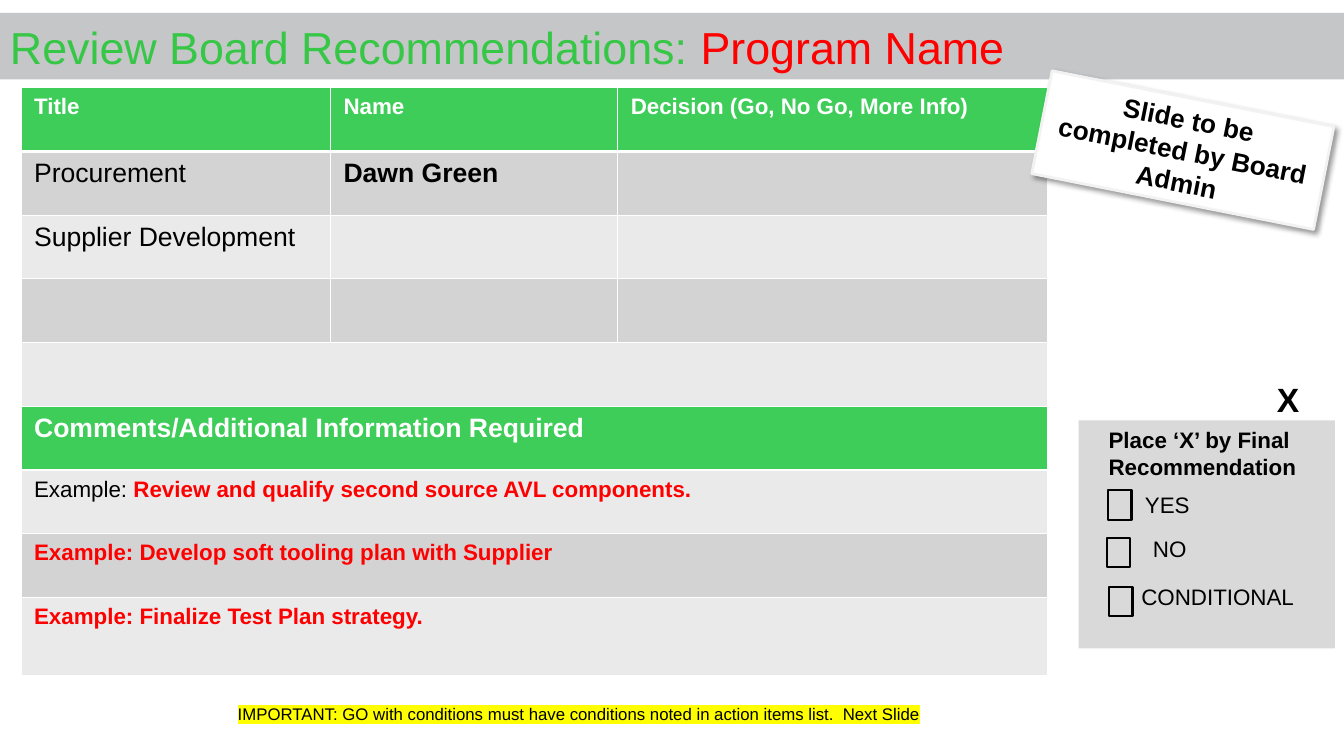
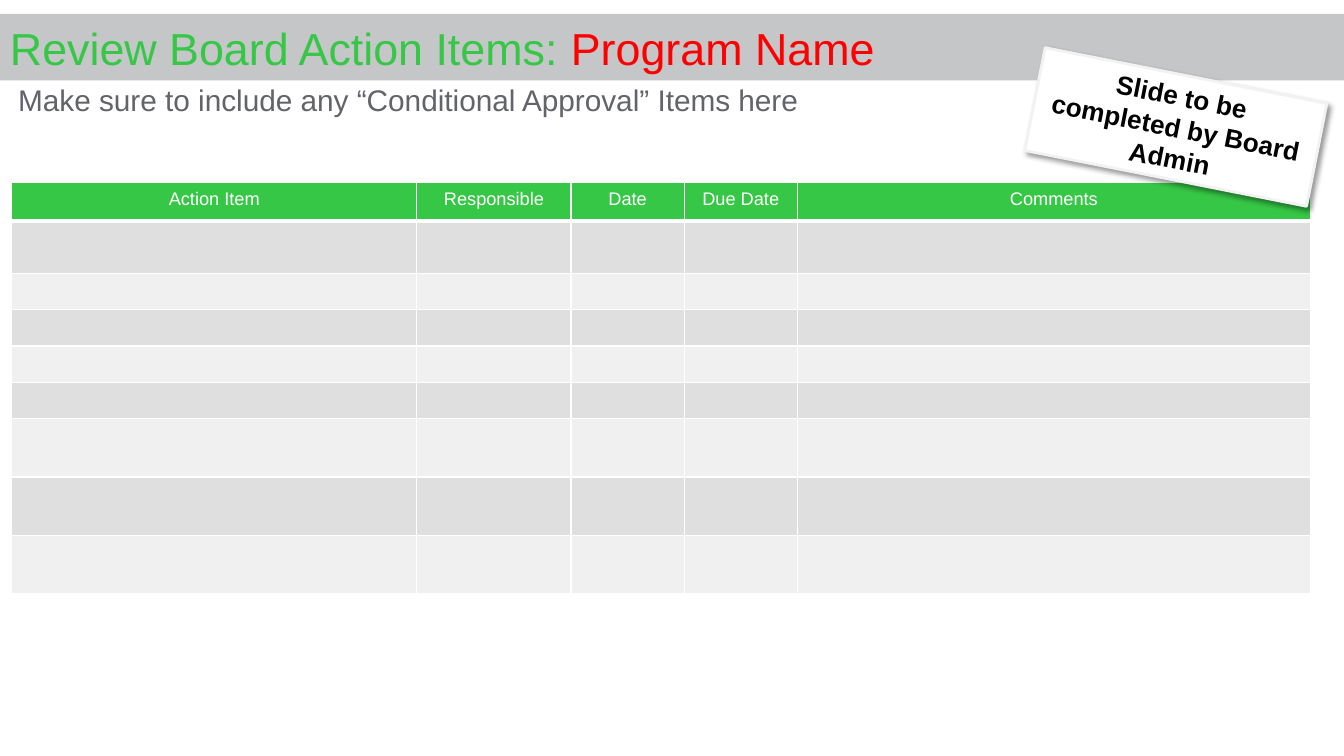
from dataclasses import dataclass
from typing import NamedTuple, Optional

from lxml.etree import SubElement
from pptx import Presentation
from pptx.dml.color import RGBColor
from pptx.enum.shapes import MSO_SHAPE as Shape
from pptx.enum.text import MSO_ANCHOR as Anchor, PP_ALIGN as Align
from pptx.oxml import parse_xml
from pptx.oxml.ns import nsdecls, qn
from pptx.util import Pt

# Shared look
FONT = "Arial"
WHITE, BLACK, RED = "FFFFFF", "000000", "FF0000"
TITLE_GREEN, TABLE_GREEN = "36C746", "3DCD58"
BAND_GRAY, PANEL_GRAY, TEXT_GRAY = "C5C6C8", "D9D9D9", "626469"
STICKER_EDGE, YELLOW = "F2F2F2", "FFFF00"
REVIEW_DARK, REVIEW_LIGHT = "D3D3D4", "EAEAEB"
ACTION_DARK, ACTION_LIGHT = "DFDFE0", "F0F0F0"
SLIDE_WIDTH, SLIDE_HEIGHT = 960, 540


class Box(NamedTuple):
    left: float
    top: float
    width: float
    height: float

    def lengths(self) -> list:
        return [Pt(value) for value in self]


class Run(NamedTuple):
    text: str
    size: float
    color: str = BLACK
    bold: bool = False


@dataclass
class Row:
    height: float
    fill: str
    cells: tuple = ()
    merged: bool = False


class Choice(NamedTuple):
    label: str
    label_box: Box
    check_left: float
    check_top: float


def rgb(color: str) -> RGBColor:
    return RGBColor.from_string(color)


# Text
def add_run(paragraph, text: str, *, size: float, color: str = BLACK,
            bold: bool = False, highlight: Optional[str] = None) -> None:
    run = paragraph.add_run()
    run.text = text
    font = run.font
    font.name, font.size, font.bold = FONT, Pt(size), bold
    font.color.rgb = rgb(color)
    if highlight:
        marker = parse_xml(f'<a:highlight {nsdecls("a")}><a:srgbClr val="{highlight}"/></a:highlight>')
        font.fill._xPr.find(qn("a:solidFill")).addnext(marker)


def add_text(shapes, box: Box, text: str, *, wrap: bool = True, inset: bool = True,
             anchor: Anchor = Anchor.TOP, **text_format) -> None:
    frame = shapes.add_textbox(*box.lengths()).text_frame
    frame.word_wrap = wrap
    frame.vertical_anchor = anchor
    if not inset:
        frame.margin_left = frame.margin_right = frame.margin_top = frame.margin_bottom = 0
    add_run(frame.paragraphs[0], text, **text_format)


# Shapes
def add_rectangle(shapes, box: Box, *, fill: Optional[str] = None,
                  line: Optional[str] = None, line_width: float = 1):
    shape = shapes.add_shape(Shape.RECTANGLE, *box.lengths())
    shape.shadow.inherit = False
    if fill:
        shape.fill.solid()
        shape.fill.fore_color.rgb = rgb(fill)
    else:
        shape.fill.background()
    if line:
        shape.line.color.rgb = rgb(line)
        shape.line.width = Pt(line_width)
    else:
        shape.line.fill.background()
    shape.text_frame.word_wrap = True
    shape.text_frame.vertical_anchor = Anchor.MIDDLE
    return shape


def add_title(slide, top: float, subject: str) -> None:
    band = add_rectangle(slide.shapes, Box(0, top, SLIDE_WIDTH, 47.5), fill=BAND_GRAY)
    paragraph = band.text_frame.paragraphs[0]
    paragraph.alignment = Align.LEFT
    add_run(paragraph, f"{subject}: ", size=32, color=TITLE_GREEN)
    add_run(paragraph, "Program Name", size=32, color=RED)


def add_sticker(slide, left: float, top: float) -> None:
    sticker = add_rectangle(slide.shapes, Box(left, top, 205.2, 74.9),
                            fill=WHITE, line=STICKER_EDGE, line_width=2)
    sticker.rotation = 11.2
    paragraph = sticker.text_frame.paragraphs[0]
    paragraph.alignment = Align.CENTER
    add_run(paragraph, "Slide to be completed by Board Admin", size=18.7, bold=True)
    # Soft shadow to the lower right
    effects = sticker._element.spPr.find(qn("a:effectLst"))
    shadow = SubElement(effects, qn("a:outerShdw"), blurRad=str(Pt(4)), dist=str(Pt(3)),
                        dir=str(45 * 60000), algn="tl", rotWithShape="0")
    shade = SubElement(shadow, qn("a:srgbClr"), val=BLACK)
    SubElement(shade, qn("a:alpha"), val="40000")


# Tables
def set_borders(cell, top: float, bottom: float) -> None:
    properties = cell._tc.get_or_add_tcPr()
    widths = {"lnL": 1, "lnR": 1, "lnT": top, "lnB": bottom}
    for index, (side, width) in enumerate(widths.items()):
        properties.insert(index, parse_xml(
            f'<a:{side} {nsdecls("a")} w="{Pt(width)}"><a:solidFill>'
            f'<a:srgbClr val="{WHITE}"/></a:solidFill></a:{side}>'))


def fill_cell(cell, runs: tuple, alignment: Align) -> None:
    cell.margin_left = cell.margin_right = Pt(9.4)
    cell.margin_top = cell.margin_bottom = Pt(5 if runs else 0)
    paragraph = cell.text_frame.paragraphs[0]
    paragraph.alignment = alignment
    for run in runs:
        add_run(paragraph, **run._asdict())


def add_grid(slide, left: float, top: float, widths: list[float], rows: list[Row],
             alignment: Align = Align.LEFT) -> None:
    box = Box(left, top, sum(widths), sum(row.height for row in rows))
    table = slide.shapes.add_table(len(rows), len(widths), *box.lengths()).table
    table.first_row = table.horz_banding = False
    for column, width in zip(table.columns, widths):
        column.width = Pt(width)
    for row_index, row in enumerate(rows):
        table.rows[row_index].height = Pt(row.height)
        for column_index in range(len(widths)):
            cell = table.cell(row_index, column_index)
            cell.fill.solid()
            cell.fill.fore_color.rgb = rgb(row.fill)
            set_borders(cell, top=3 if row_index == 1 else 1, bottom=3 if row_index == 0 else 1)
            runs = row.cells[column_index] if column_index < len(row.cells) else ()
            fill_cell(cell, runs, alignment)
        if row.merged:
            table.cell(row_index, 0).merge(table.cell(row_index, len(widths) - 1))


# Slide 1
def add_recommendation_panel(slide) -> None:
    shapes = slide.shapes.add_group_shape().shapes
    add_rectangle(shapes, Box(770.5, 300.3, 183, 162.8), fill=PANEL_GRAY)
    add_text(shapes, Box(784.8, 301, 154.8, 46), "Place ‘X’ by Final Recommendation",
             size=16, bold=True)
    choices = [
        Choice("YES", Box(810.7, 347, 85, 26.6), 791.3, 350.3),
        Choice("NO", Box(816.5, 379, 69.8, 26.6), 790.5, 384),
        Choice("CONDITIONAL", Box(808.2, 413, 139, 26.6), 792, 419.3),
    ]
    for choice in choices:
        add_text(shapes, choice.label_box, choice.label, size=16)
        add_rectangle(shapes, Box(choice.check_left, choice.check_top, 17, 21),
                      line=BLACK, line_width=1.5)


def build_recommendations(slide) -> None:
    add_title(slide, 9.2, "Review Board Recommendations")
    height = 45.5
    headings = ("Title", "Name", "Decision (Go, No Go, More Info)")
    rows = [
        Row(height, TABLE_GREEN, tuple((Run(text, 16, WHITE, True),) for text in headings)),
        Row(height, REVIEW_DARK, ((Run("Procurement", 19),), (Run("Dawn Green", 19, bold=True),))),
        Row(height, REVIEW_LIGHT, ((Run("Supplier Development", 19),),)),
        Row(height, REVIEW_DARK),
        Row(height, REVIEW_LIGHT, merged=True),
        Row(height, TABLE_GREEN,
            ((Run("Comments/Additional Information Required", 19, WHITE, True),),), True),
        Row(height, REVIEW_LIGHT,
            ((Run("Example: ", 16),
              Run("Review and qualify second source AVL components.", 16, RED, True)),), True),
        Row(height, REVIEW_DARK,
            ((Run("Example: Develop soft tooling plan with Supplier", 16, RED, True),),), True),
        Row(56, REVIEW_LIGHT,
            ((Run("Example: Finalize Test Plan strategy.", 16, RED, True),),), True),
    ]
    add_grid(slide, 15, 62.7, [221, 205.2, 307], rows)
    add_sticker(slide, 742.3, 69.8)
    add_recommendation_panel(slide)
    add_text(slide.shapes, Box(905, 267, 31, 36), "X", size=24, bold=True, wrap=False)
    add_text(slide.shapes, Box(162.7, 499, 548.6, 21.6),
             "IMPORTANT: GO with conditions must have conditions noted in action items list.  Next Slide",
             size=12, highlight=YELLOW)


# Slide 2
def build_action_items(slide) -> None:
    add_title(slide, 10, "Review Board Action Items")
    add_text(slide.shapes, Box(13, 57.6, 906, 26.6),
             "Make sure to include any “Conditional Approval” Items here",
             size=21.3, color=TEXT_GRAY, inset=False, anchor=Anchor.MIDDLE)
    headings = ("Action Item", "Responsible", "Date", "Due Date", "Comments")
    rows = [Row(27.6, TITLE_GREEN, tuple((Run(text, 13, WHITE),) for text in headings))]
    heights = [37.4] + [26] * 4 + [41.6] * 3
    for index, height in enumerate(heights):
        rows.append(Row(height, ACTION_LIGHT if index % 2 else ACTION_DARK))
    add_grid(slide, 8.3, 130.2, [289.4, 110.2, 80.8, 80.8, 366.6], rows, Align.CENTER)
    add_sticker(slide, 737.3, 53.3)


def main() -> None:
    presentation = Presentation()
    presentation.slide_width, presentation.slide_height = Pt(SLIDE_WIDTH), Pt(SLIDE_HEIGHT)
    blank = presentation.slide_layouts[6]
    for build in (build_recommendations, build_action_items):
        build(presentation.slides.add_slide(blank))
    presentation.save("out.pptx")


if __name__ == "__main__":
    main()
